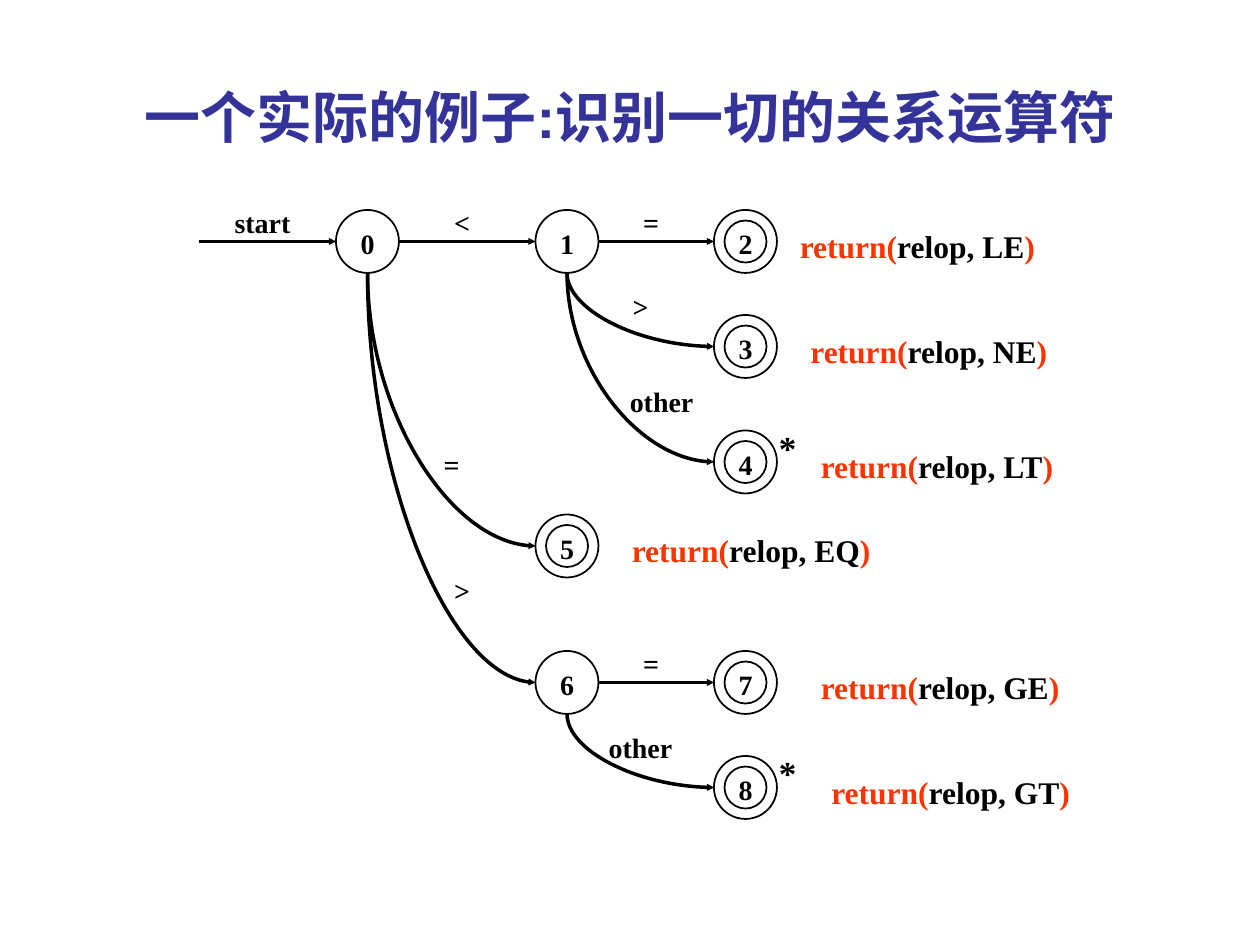
import dataclasses

import pptx
import pptx.dml.color
import pptx.enum.shapes
import pptx.enum.text
import pptx.oxml
import pptx.oxml.ns
import pptx.util

Inches = pptx.util.Inches
Pt = pptx.util.Pt
ALIGN = pptx.enum.text.PP_ALIGN
CONNECTOR = pptx.enum.shapes.MSO_CONNECTOR


@dataclasses.dataclass(frozen=True)
class Theme:
    ink: str = "000000"
    heading: str = "333399"
    keyword: str = "FF3300"
    heading_font: str = "Arial"
    diagram_font: str = "Times New Roman"
    heading_size: int = 32
    label_size: int = 16
    action_size: int = 18
    star_size: int = 20
    ring_width: int = 1
    edge_width: int = 2


THEME = Theme()

# The diagram sits on a grid of twelfths of an inch
STEP = 1 / 12
RADIUS = 3
INNER_RADIUS = 2

# state: (column, row) of its centre
STATES = {
    0: (16, 4), 1: (35, 4), 2: (52, 4), 3: (52, 14), 4: (52, 25),
    5: (35, 33), 6: (35, 46), 7: (52, 46), 8: (52, 56),
}
# accepting state: (operator code, left of the action, reads one character too many)
ACCEPTING = {
    2: ("LE", 56, False), 3: ("NE", 57, False), 4: ("LT", 58, True),
    5: ("EQ", 40, False), 7: ("GE", 58, False), 8: ("GT", 59, True),
}
# source, target, label, left and top of the label
TRANSITIONS = [
    (0, 1, "<", 20, 0), (1, 2, "=", 38, 0), (1, 3, ">", 37, 8),
    (1, 4, "other", 39, 17), (0, 5, "=", 19, 23), (0, 6, ">", 20, 35),
    (6, 7, "=", 38, 42), (6, 8, "other", 37, 50),
]


def rgb(value):
    return pptx.dml.color.RGBColor.from_string(value)


def add_run(paragraph, text, size, color, font_name):
    run = paragraph.add_run()
    run.text = text
    run.font.color.rgb = rgb(color)
    for name, value in {"name": font_name, "size": Pt(size), "bold": True}.items():
        setattr(run.font, name, value)


def grid_point(box, column, row):
    left, top = box[:2]
    return left + Inches(column * STEP), top + Inches(row * STEP)


def add_text(slide, box, column, row, width, height, runs, size, align=ALIGN.CENTER):
    """Place a text box on the grid; runs are (text, color) pairs."""
    label = slide.shapes.add_textbox(
        *grid_point(box, column, row), Inches(width * STEP), Inches(height))
    label.text_frame.word_wrap = True
    label.text_frame.auto_size = pptx.enum.text.MSO_AUTO_SIZE.SHAPE_TO_FIT_TEXT
    paragraph = label.text_frame.paragraphs[0]
    paragraph.alignment = align
    for text, color in runs:
        add_run(paragraph, text, size, color, THEME.diagram_font)


def add_label(slide, box, column, row, width, text):
    add_text(slide, box, column, row, width, 0.37, [(text, THEME.ink)], THEME.label_size)


def add_ring(slide, box, column, row, radius):
    size = Inches(2 * radius * STEP)
    ring = slide.shapes.add_shape(
        pptx.enum.shapes.MSO_SHAPE.OVAL,
        *grid_point(box, column - radius, row - radius), size, size)
    ring.shadow.inherit = False
    ring.fill.background()
    ring.line.color.rgb = rgb(THEME.ink)
    ring.line.width = Pt(THEME.ring_width)


def add_state(slide, box, state):
    column, row = STATES[state]
    add_ring(slide, box, column, row, RADIUS)
    if state in ACCEPTING:
        add_ring(slide, box, column, row, INNER_RADIUS)
    add_label(slide, box, column - 2, row - 2, 4, str(state))


def add_action(slide, box, state):
    code, left, retracts = ACCEPTING[state]
    column, row = STATES[state]
    runs = [("return(", THEME.keyword), (f"relop, {code}", THEME.ink), (")", THEME.keyword)]
    add_text(slide, box, left, row - 2, 35, 0.4, runs, THEME.action_size, ALIGN.LEFT)
    if retracts:
        add_text(slide, box, column + 2, row - 4, 4, 0.44,
                 [("*", THEME.ink)], THEME.star_size)


def style_edge(edge):
    edge.line.color.rgb = rgb(THEME.ink)
    edge.line.width = Pt(THEME.edge_width)
    arrowhead = pptx.oxml.parse_xml(
        f'<a:tailEnd {pptx.oxml.ns.nsdecls("a")} type="triangle" w="sm" len="sm"/>')
    edge.line._get_or_add_ln().append(arrowhead)
    edge._element.spPr.append(
        pptx.oxml.parse_xml(f'<a:effectLst {pptx.oxml.ns.nsdecls("a")}/>'))


def add_straight_edge(slide, box, start, end):
    style_edge(slide.shapes.add_connector(
        CONNECTOR.STRAIGHT, *grid_point(box, *start), *grid_point(box, *end)))


def add_curved_edge(slide, box, start, end):
    """Leave start downwards and reach end rightwards: a mirrored quarter turn."""
    (x1, y1), (x2, y2) = start, end
    middle_x, middle_y = (x1 + x2) / 2, (y1 + y2) / 2
    half_width, half_height = (y2 - y1) / 2, (x2 - x1) / 2
    edge = slide.shapes.add_connector(
        CONNECTOR.CURVE,
        *grid_point(box, middle_x + half_width, middle_y - half_height),
        *grid_point(box, middle_x - half_width, middle_y + half_height))
    properties = edge._element.spPr
    properties.find(pptx.oxml.ns.qn("a:prstGeom")).set("prst", "curvedConnector2")
    properties.find(pptx.oxml.ns.qn("a:xfrm")).set("rot", str(270 * 60000))
    style_edge(edge)


def add_transition(slide, box, source, target, text, left, top):
    (x1, y1), (x2, y2) = STATES[source], STATES[target]
    end = (x2 - RADIUS, y2)
    if y1 == y2:
        add_straight_edge(slide, box, (x1 + RADIUS, y1), end)
    else:
        add_curved_edge(slide, box, (x1, y1 + RADIUS), end)
    add_label(slide, box, left, top, 10, text)


def build_title(slide, box):
    title = slide.shapes.title
    for name, value in zip(("left", "top", "width", "height"), box):
        setattr(title, name, value)
    frame = title.text_frame
    frame_format = {
        "auto_size": pptx.enum.text.MSO_AUTO_SIZE.NONE,
        "vertical_anchor": pptx.enum.text.MSO_ANCHOR.MIDDLE,
        "word_wrap": True,
    }
    for name, value in frame_format.items():
        setattr(frame, name, value)
    frame.paragraphs[0].alignment = ALIGN.CENTER
    add_run(frame.paragraphs[0], "一个实际的例子:识别一切的关系运算符",
            THEME.heading_size, THEME.heading, THEME.heading_font)


def build_diagram(slide, box):
    # Entry arrow
    column, row = STATES[0]
    add_straight_edge(slide, box, (0, row), (column - RADIUS, row))
    add_label(slide, box, 1, 0, 10, "start")
    # Transitions, states and the actions of accepting states
    for transition in TRANSITIONS:
        add_transition(slide, box, *transition)
    for state in STATES:
        add_state(slide, box, state)
    for state in ACCEPTING:
        add_action(slide, box, state)


def main():
    deck = pptx.Presentation()
    deck.slide_width, deck.slide_height = Inches(10), Inches(7.5)
    slide = deck.slides.add_slide(deck.slide_layouts.get_by_name("Title Only"))
    build_title(slide, (Inches(0.5), Inches(0.3), Inches(9), Inches(1.25)))
    build_diagram(slide, (Inches(19 * STEP), Inches(19 * STEP)))
    deck.save("out.pptx")


if __name__ == "__main__":
    main()
